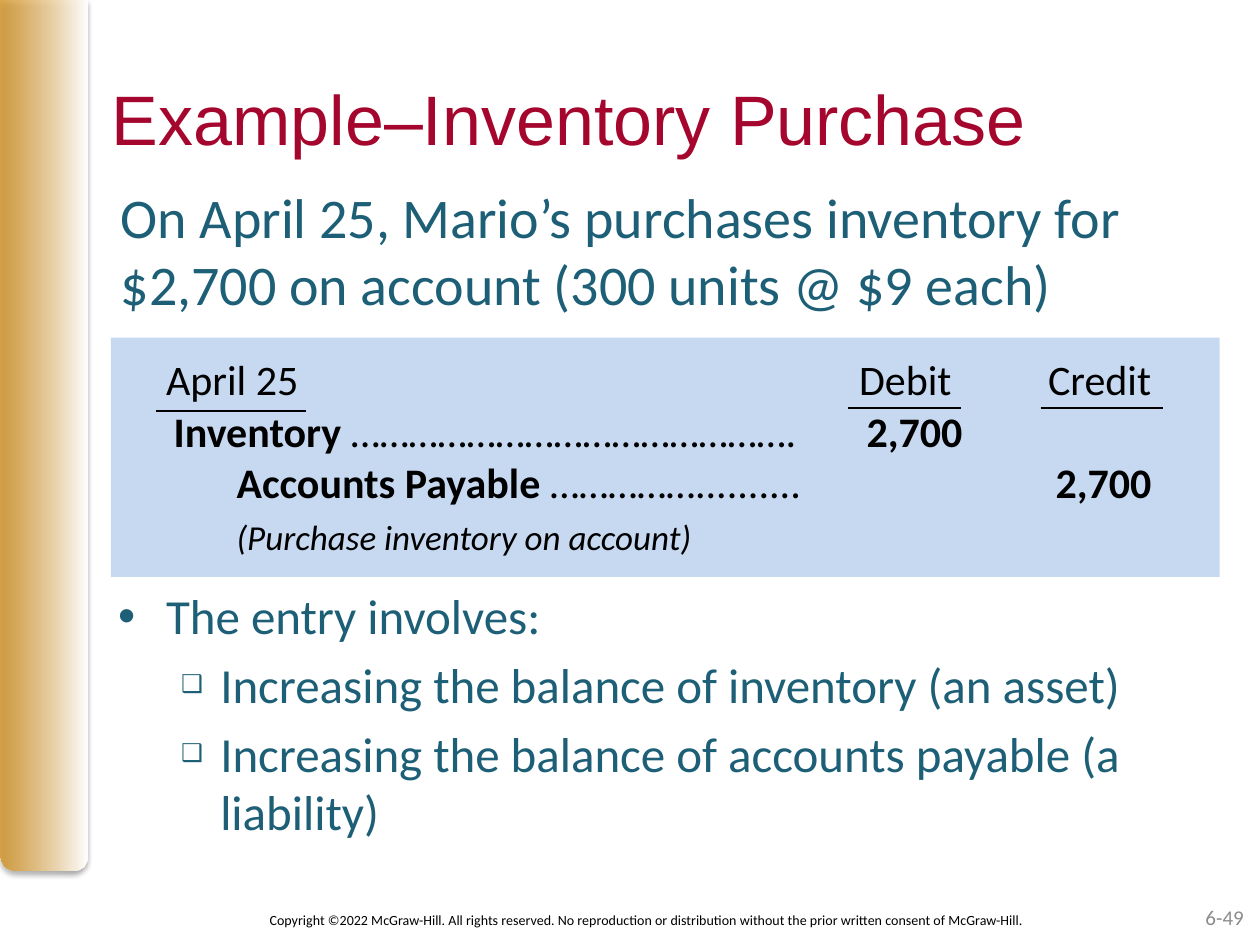
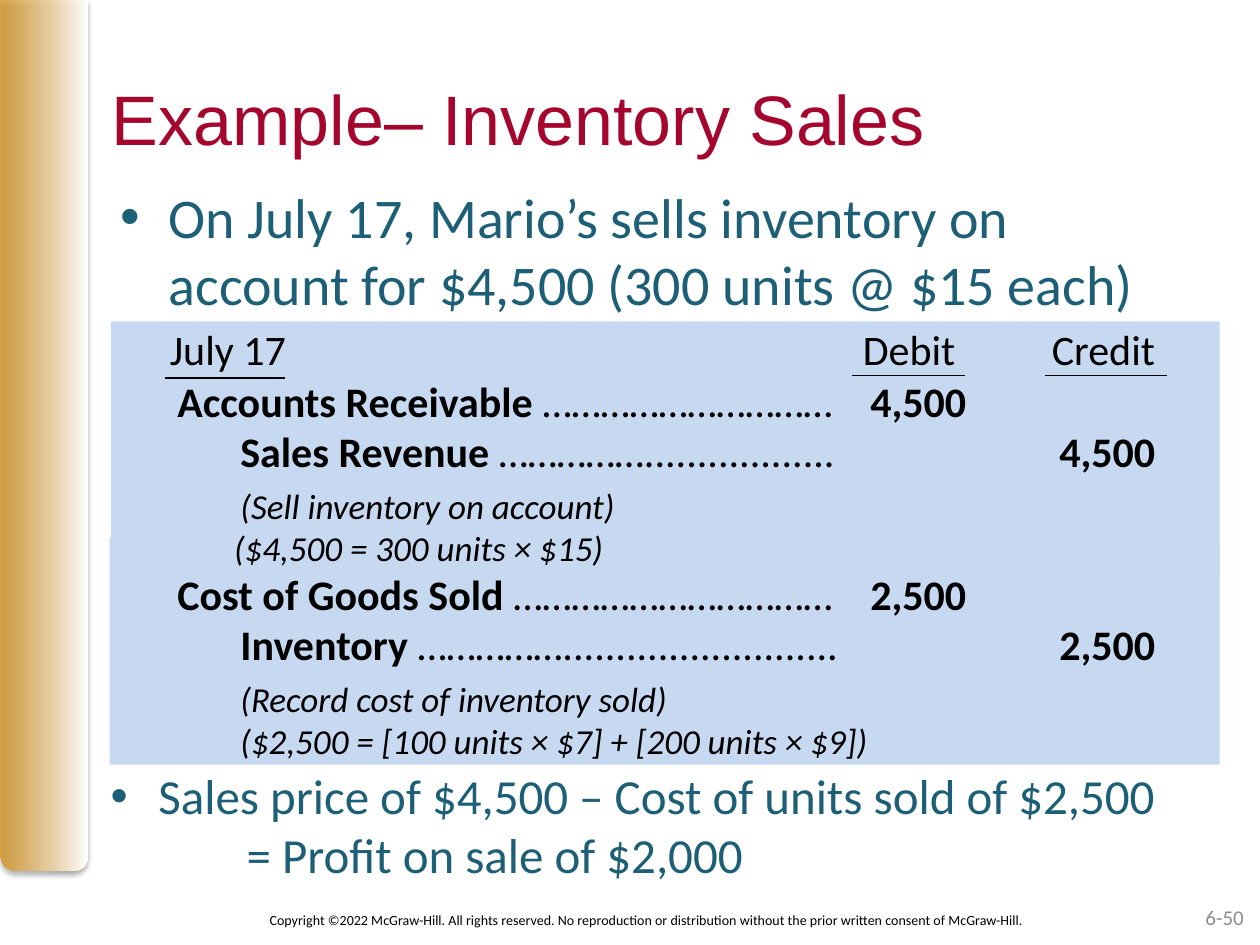
from lxml import etree
from pptx import Presentation
from pptx import util as u
from pptx.dml.color import RGBColor
from pptx.enum import shapes, text
from pptx.oxml.ns import qn

CRIMSON = RGBColor(0xA5, 0x06, 0x2D)
TEAL = RGBColor(0x1D, 0x5F, 0x76)
GOLD = RGBColor(0xD4, 0x93, 0x23)
PALE_BLUE = RGBColor(0xC6, 0xD9, 0xF1)
GRAY = RGBColor(0x8C, 0x8C, 0x8C)
BLACK = RGBColor(0, 0, 0)
WHITE = RGBColor(255, 255, 255)

COPYRIGHT = ("Copyright ©2022 McGraw-Hill. All rights reserved. No reproduction or "
             "distribution without the prior written consent of McGraw-Hill.")
ENTRY_TAB, DEBIT_TAB, CREDIT_TAB = 0.5, 5.5, 7.0
LEDGER_SIZE, NOTE_SIZE = 24, 20
LEDGER_WIDTH = 8.4


def add_xml(parent, tag, **attributes):
    values = {name: str(value) for name, value in attributes.items()}
    return etree.SubElement(parent, qn(tag), values)


def add_span(para, words, size=LEDGER_SIZE, color=BLACK, font="Calibri",
             bold=False, italic=False):
    span = para.add_run()
    span.text = words
    span.font.name = font
    span.font.size = u.Pt(size)
    span.font.color.rgb = color
    span.font.bold = bold
    span.font.italic = italic


def set_indent(para, margin, hanging=0):
    properties = para._p.get_or_add_pPr()
    properties.set("marL", str(u.Inches(margin)))
    properties.set("indent", str(u.Inches(-hanging)))
    return properties


def set_bullet(para, level=0):
    para.level = level
    if level:
        properties = set_indent(para, 0.81, 0.31)
        add_xml(properties, "a:buSzPct", val=50000)
    else:
        properties = set_indent(para, 0.38, 0.38)
    add_xml(properties, "a:buFont", typeface="Arial")
    add_xml(properties, "a:buChar", char="❑" if level else "•")


def set_tabs(para):
    tabs = add_xml(para._p.get_or_add_pPr(), "a:tabLst")
    for stop in (ENTRY_TAB, DEBIT_TAB, CREDIT_TAB):
        add_xml(tabs, "a:tab", pos=u.Inches(stop), algn="l")


class LessonDeck:
    def __init__(self):
        self.deck = Presentation()
        self.deck.slide_width = u.Inches(10)
        self.deck.slide_height = u.Inches(7.5)
        self.page = None

    def start_page(self, title, number):
        self.page = self.deck.slides.add_slide(self.deck.slide_layouts[6])
        self.side_band()
        self.line_of_text(number, 7.64, 7.08, 2.33, 0.4, align=text.PP_ALIGN.RIGHT,
                          anchor=text.MSO_ANCHOR.MIDDLE, size=12, color=GRAY)
        self.line_of_text(COPYRIGHT, 1.56, 7.1, 7.15, 0.4, align=text.PP_ALIGN.CENTER,
                          anchor=text.MSO_ANCHOR.MIDDLE, size=8)
        self.line_of_text(title, 0.79, 0.55, 9, 1.2, size=40, color=CRIMSON, font="Arial")

    def shape(self, kind, left, top, width, height):
        shape = self.page.shapes.add_shape(
            kind, u.Inches(left), u.Inches(top), u.Inches(width), u.Inches(height))
        shape.shadow.inherit = False
        shape.line.fill.background()
        return shape

    def side_band(self):
        band = self.shape(shapes.MSO_SHAPE.ROUND_2_SAME_RECTANGLE, 0, 0, 0.69, 6.91)
        band.adjustments[0] = 0
        band.adjustments[1] = 0.17
        band.fill.gradient()
        band.fill.gradient_angle = 0
        for stop, color, position in zip(band.fill.gradient_stops, (GOLD, WHITE), (0, 1)):
            stop.color.rgb = color
            stop.position = position
        gold = band._element.spPr.find(".//" + qn("a:srgbClr"))
        add_xml(gold, "a:alpha", val=80000)
        # Soft shadow below the band
        effects = band._element.spPr.find(qn("a:effectLst"))
        shadow = add_xml(effects, "a:outerShdw", blurRad=u.Pt(3.1), dist=u.Pt(1.8),
                         dir=5400000, rotWithShape=0)
        add_xml(add_xml(shadow, "a:srgbClr", val="000000"), "a:alpha", val=35000)

    def panel(self, left, top, width, height):
        panel = self.shape(shapes.MSO_SHAPE.RECTANGLE, left, top, width, height)
        panel.fill.solid()
        panel.fill.fore_color.rgb = PALE_BLUE

    def text_frame(self, left, top, width, height):
        box = self.page.shapes.add_textbox(
            u.Inches(left), u.Inches(top), u.Inches(width), u.Inches(height))
        box.text_frame.word_wrap = True
        return box.text_frame

    def line_of_text(self, words, left, top, width, height, align=text.PP_ALIGN.LEFT,
                     anchor=text.MSO_ANCHOR.TOP, **style):
        frame = self.text_frame(left, top, width, height)
        frame.vertical_anchor = anchor
        para = frame.paragraphs[0]
        para.alignment = align
        add_span(para, words, **style)

    def bullets(self, items, left, top, width, height, size):
        """Each item is a pair of level and words."""
        frame = self.text_frame(left, top, width, height)
        for index, (level, words) in enumerate(items):
            para = frame.add_paragraph() if index else frame.paragraphs[0]
            if index:
                para.space_before = u.Pt(size * 0.2)
            set_bullet(para, level)
            add_span(para, words, size=size, color=TEAL)
        return frame

    def rule(self, start, end, y):
        rule = self.page.shapes.add_connector(
            shapes.MSO_CONNECTOR.STRAIGHT,
            u.Inches(start), u.Inches(y), u.Inches(end), u.Inches(y))
        rule.line.color.rgb = BLACK
        rule.line.width = u.Pt(1)
        add_xml(rule._element.spPr, "a:effectLst")

    def ledger_head(self, date, left, top, rule_y, date_rule):
        para = self.text_frame(left, top, LEDGER_WIDTH, 0.5).paragraphs[0]
        set_tabs(para)
        add_span(para, f"{date}\tDebit\tCredit")
        for offset, length in ((DEBIT_TAB, 0.9), (CREDIT_TAB + 0.03, 0.97)):
            start = left + offset + 0.01
            self.rule(start, start + length, rule_y)
        self.rule(*date_rule, rule_y + 0.02)

    def ledger_entry(self, debit, credit, amount, notes, left, top, height):
        """Debit and credit pair an account with its leader; notes pair words with indent."""
        frame = self.text_frame(left, top, LEDGER_WIDTH, height)
        rows = ((frame.paragraphs[0], "", debit, "\t"),
                (frame.add_paragraph(), "\t", credit, "\t\t"))
        for para, lead, (account, dots), gap in rows:
            set_tabs(para)
            add_span(para, f"{lead}{account} ", bold=True)
            add_span(para, dots)
            add_span(para, gap + amount, bold=True)
        for index, (words, indent) in enumerate(notes):
            para = frame.add_paragraph()
            if index == 0:
                para.space_before = u.Pt(5)
            set_indent(para, indent)
            add_span(para, words, size=NOTE_SIZE, italic=True)


def build_purchase(lesson):
    lesson.start_page("Example–Inventory Purchase", "6-49")
    lesson.line_of_text("On April 25, Mario’s purchases inventory for $2,700 on account "
                        "(300 units @ $9 each)", 0.86, 1.4, 8.7, 1.15, size=32, color=TEAL)
    # Journal entry
    lesson.panel(0.88, 2.68, 8.8, 1.9)
    lesson.ledger_head("April 25", 1.22, 2.76, 3.24, (1.24, 2.43))
    lesson.ledger_entry(("Inventory", "………………………………………."),
                        ("Accounts Payable", "…………….........."), "2,700",
                        [("(Purchase inventory on account)", ENTRY_TAB)], 1.28, 3.17, 1.31)
    # Explanation
    lesson.bullets([(0, "The entry involves:"),
                    (1, "Increasing the balance of inventory (an asset)"),
                    (1, "Increasing the balance of accounts payable (a liability)")],
                   0.84, 4.6, 8.7, 2.15, 28)


def build_sales(lesson):
    lesson.start_page("Example– Inventory Sales", "6-50")
    lesson.bullets([(0, "On July 17, Mario’s sells inventory on account for $4,500 "
                        "(300 units @ $15 each)")], 0.86, 1.4, 8.7, 1.15, 32)
    # Journal entries: the sale, then its cost
    lesson.panel(0.87, 4.27, 8.81, 1.8)
    lesson.panel(0.88, 2.55, 8.8, 2.02)
    lesson.ledger_head("July 17", 1.25, 2.52, 2.98, (1.31, 2.26))
    lesson.ledger_entry(("Accounts Receivable", "…………………………"),
                        ("Sales Revenue", "…………….................."), "4,500",
                        [("(Sell inventory on account)", ENTRY_TAB),
                         ("($4,500 = 300 units × $15)", 0.45)], 1.31, 2.93, 1.65)
    lesson.ledger_entry(("Cost of Goods Sold", "……………………………"),
                        ("Inventory", "…………….........................."), "2,500",
                        [("(Record cost of inventory sold)", ENTRY_TAB),
                         ("($2,500 = [100 units × $7] + [200 units × $9])", ENTRY_TAB)],
                        1.31, 4.46, 1.65)
    # Profit
    frame = lesson.bullets([(0, "Sales price of $4,500 – Cost of units sold of $2,500")],
                           0.78, 6.03, 9, 1.15, 28)
    result = frame.add_paragraph()
    set_indent(result, 1.08)
    add_span(result, "= Profit on sale of $2,000", size=28, color=TEAL)


def main():
    lesson = LessonDeck()
    build_purchase(lesson)
    build_sales(lesson)
    lesson.deck.save("out.pptx")


if __name__ == "__main__":
    main()
